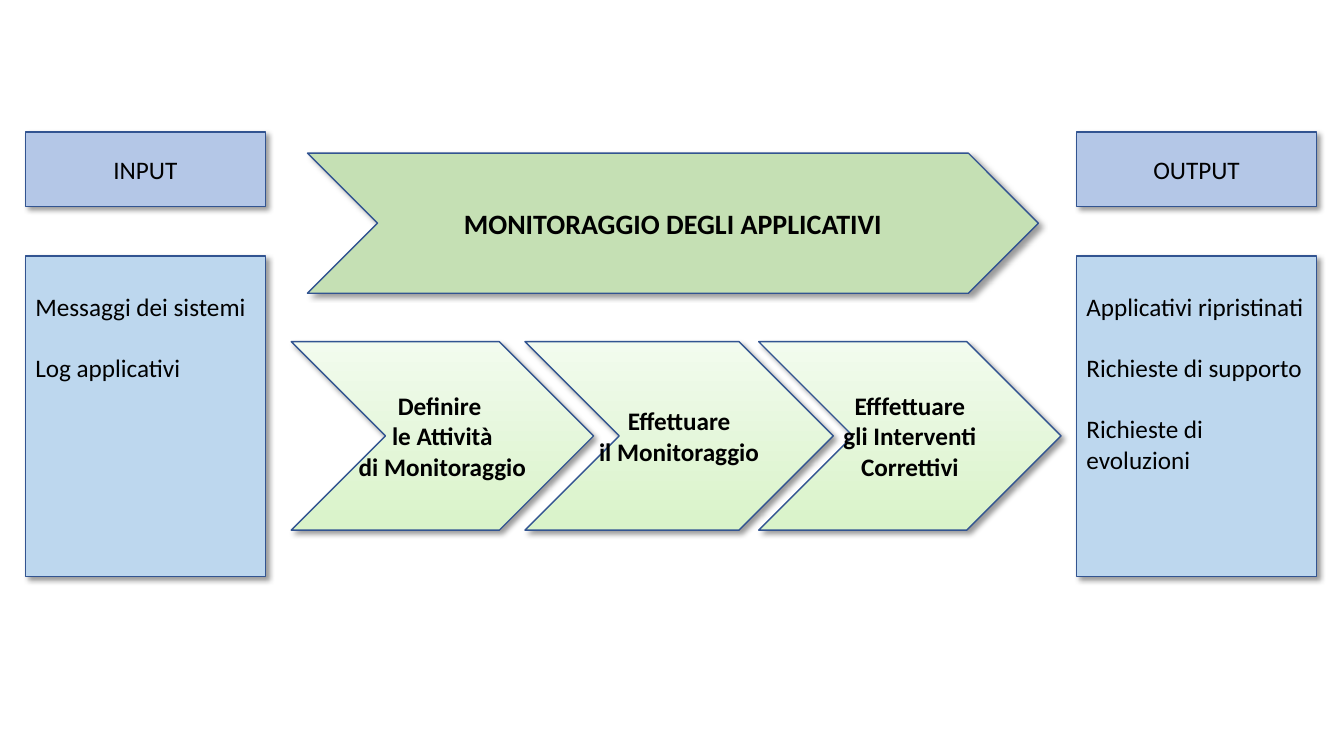
from lxml import etree
from pptx import Presentation
from pptx import util as u
from pptx.dml.color import RGBColor
from pptx.enum import shapes, text
from pptx.oxml.ns import qn

COLORS = {
    "line": "325491",
    "header": "B4C7E7",
    "body": "BDD7EE",
    "process": "C5E0B4",
    "step_bottom": "D9F3C9",
    "step_top": "F2FBEE",
    "ink": "000000",
}
RECT = shapes.MSO_SHAPE.RECTANGLE
CHEVRON = shapes.MSO_SHAPE.CHEVRON


def rgb(name):
    return RGBColor.from_string(COLORS[name])


def add_shadow(sp):
    sp.shadow.inherit = False
    effects = sp._element.spPr.find(qn("a:effectLst"))
    shadow = etree.SubElement(effects, qn("a:outerShdw"), blurRad=str(u.Pt(4)),
                              dist=str(u.Pt(3)), dir="2700000", algn="tl", rotWithShape="0")
    color = etree.SubElement(shadow, qn("a:srgbClr"), val=COLORS["ink"])
    etree.SubElement(color, qn("a:alpha"), val="40000")


def add_block(s, kind, box, fill, lines, size=18, bold=False, centered=True, wrap=True):
    sp = s.shapes.add_shape(kind, *map(u.Cm, box))
    if isinstance(fill, tuple):
        sp.fill.gradient()
        sp.fill.gradient_angle = 90
        for stop, name in zip(sp.fill.gradient_stops, fill):
            stop.color.rgb = rgb(name)
    else:
        sp.fill.solid()
        sp.fill.fore_color.rgb = rgb(fill)
    sp.line.color.rgb = rgb("line")
    sp.line.width = u.Pt(1)
    add_shadow(sp)
    tf = sp.text_frame
    tf.word_wrap = wrap
    tf.vertical_anchor = text.MSO_ANCHOR.MIDDLE if centered else text.MSO_ANCHOR.TOP
    for i, line in enumerate(lines):
        p = tf.add_paragraph() if i else tf.paragraphs[0]
        p.text = line
        p.alignment = text.PP_ALIGN.CENTER if centered else text.PP_ALIGN.LEFT
        if i:
            p.space_before = u.Pt(22)
        p.font.name = "Calibri"
        p.font.size = u.Pt(size)
        p.font.bold = bold
        p.font.color.rgb = rgb("ink")
    return sp


def add_column(s, box, title, items):
    x, y, w, h = box
    header_h, body_dy = 1.88, 3.12
    add_block(s, RECT, (x, y, w, header_h), "header", [title])
    body = add_block(s, RECT, (x, y + body_dy, w, h - body_dy), "body", items, centered=False)
    body.text_frame.margin_top = u.Cm(0.9)


def add_steps(s, box, steps):
    x, y, w, h = box
    pitch = 5.89
    for i, (label, extra) in enumerate(steps):
        add_block(s, CHEVRON, (x + i * pitch, y, w - 2 * pitch + extra, h),
                  ("step_bottom", "step_top"), [label], bold=True, wrap=False)


def main():
    prs = Presentation()
    prs.slide_width, prs.slide_height = u.Cm(33.87), u.Cm(19.05)
    s = prs.slides.add_slide(prs.slide_layouts[6])
    add_column(s, (0.64, 3.33, 6.05, 11.2), "INPUT",
               ["Messaggi dei sistemi", "Log applicativi"])
    add_column(s, (27.13, 3.33, 6.05, 11.2), "OUTPUT",
               ["Applicativi ripristinati", "Richieste di supporto", "Richieste di evoluzioni"])
    add_block(s, CHEVRON, (7.75, 3.86, 18.42, 3.53), "process",
              ["MONITORAGGIO DEGLI APPLICATIVI"], size=20, bold=True)
    add_steps(s, (7.34, 8.61, 19.4, 4.75), [
        ("Definire \nle Attività\ndi Monitoraggio", 0),
        ("Effettuare\nil Monitoraggio", 0.15),
        ("Efffettuare\ngli Interventi\nCorrettivi", 0),
    ])
    prs.save("out.pptx")


if __name__ == "__main__":
    main()
